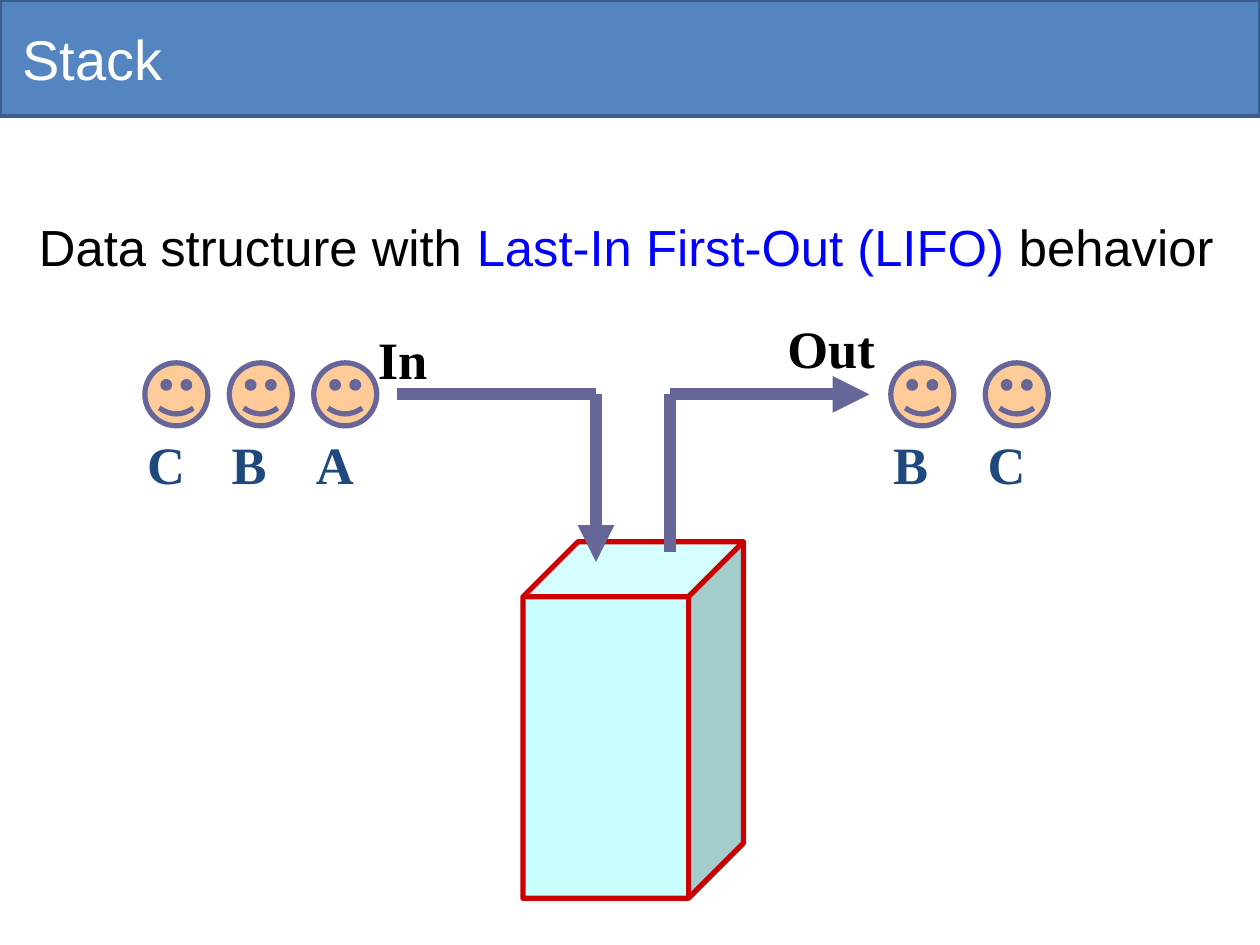
from lxml import etree
from pptx import Presentation
from pptx.dml.color import RGBColor
from pptx.enum.shapes import MSO_CONNECTOR, MSO_SHAPE as SHAPE
from pptx.enum.text import MSO_ANCHOR as ANCHOR, MSO_AUTO_SIZE as AUTO
from pptx.oxml.ns import qn
from pptx.util import Inches, Pt


def rgb(value):
    return RGBColor.from_string(value)


class Deck:
    SANS = {"name": "Arial", "size": Pt(29)}
    TITLE = {"name": "Arial", "size": Pt(32)}
    LABEL = {"name": "Times New Roman", "size": Pt(30), "bold": True}
    PURPLE, NAVY, BLACK = "666699", "1F497D", "000000"

    def __init__(self, width, height):
        self.prs = Presentation()
        self.prs.slide_width, self.prs.slide_height = Inches(width), Inches(height)
        self.s = self.prs.slides.add_slide(self.prs.slide_layouts[6])

    def shape(self, kind, box, fill, line, weight):
        sp = self.s.shapes.add_shape(kind, *map(Inches, box))
        sp.shadow.inherit = False
        sp.fill.solid()
        sp.fill.fore_color.rgb = rgb(fill)
        sp.line.color.rgb = rgb(line)
        sp.line.width = Pt(weight)
        return sp

    def text(self, box, runs, font, margins=(0.1, 0.05), anchor=ANCHOR.TOP, auto=AUTO.SHAPE_TO_FIT_TEXT):
        tf = self.s.shapes.add_textbox(*map(Inches, box)).text_frame
        side, edge = map(Inches, margins)
        layout = {"word_wrap": True, "auto_size": auto, "vertical_anchor": anchor,
                  "margin_left": side, "margin_right": side,
                  "margin_top": edge, "margin_bottom": edge}
        for key, value in layout.items():
            setattr(tf, key, value)
        p = tf.paragraphs[0]
        for words, color in runs:
            r = p.add_run()
            r.text = words
            for key, value in font.items():
                setattr(r.font, key, value)
            r.font.color.rgb = rgb(color)

    def line(self, start, end, arrow=False):
        cx = self.s.shapes.add_connector(MSO_CONNECTOR.STRAIGHT, *map(Inches, start + end))
        cx.line.color.rgb = rgb(self.PURPLE)
        cx.line.width = Pt(7)
        if arrow:
            etree.SubElement(cx.line._get_or_add_ln(), qn("a:tailEnd"), type="triangle")
        etree.SubElement(cx._element.spPr, qn("a:effectLst"))

    def person(self, left, name):
        face = self.shape(SHAPE.SMILEY_FACE, (left, 2.88, 0.5, 0.5), "FFCC99", self.PURPLE, 3)
        face.adjustments[0] = 0.05
        self.text((left - 0.08, 3.38, 0.67, 0.61), [(name, self.NAVY)], self.LABEL)


def main():
    deck = Deck(10, 7.5)

    # Title bar
    deck.shape(SHAPE.RECTANGLE, (0, 0, 10, 0.92), "5485C0", "3A5F8C", 2)
    deck.text((0.08, 0, 9.61, 0.92), [("Stack", "FFFFFF")], deck.TITLE,
              anchor=ANCHOR.MIDDLE, auto=AUTO.NONE)

    # Definition
    deck.text((0.31, 1.71, 9.46, 0.49),
              [("Data structure with ", deck.BLACK), ("Last-In First-Out (LIFO)", "0000FF"),
               (" behavior", deck.BLACK)], deck.SANS, margins=(0, 0))

    # Stack container
    cube = deck.shape(SHAPE.CUBE, (4.15, 4.3, 1.75, 2.83), "CCFFFF", "CC0000", 3)
    cube.adjustments[0] = 0.25

    # Paths into and out of the stack
    level, in_x, out_x = 3.13, 4.73, 5.32
    deck.line((3.15, level), (in_x, level))
    deck.line((in_x, level), (in_x, 4.46), arrow=True)
    deck.line((out_x, 4.38), (out_x, level))
    deck.line((out_x, level), (6.9, level), arrow=True)
    for left, top, word in ((2.9, 2.55, "In"), (6.15, 2.46, "Out")):
        deck.text((left, top, 0.92, 0.61), [(word, deck.BLACK)], deck.LABEL)

    # Queues before and after the stack
    for first, step, names in ((1.15, 0.67, "CBA"), (7.07, 0.75, "BC")):
        for i, name in enumerate(names):
            deck.person(first + i * step, name)

    deck.prs.save("out.pptx")


if __name__ == "__main__":
    main()
